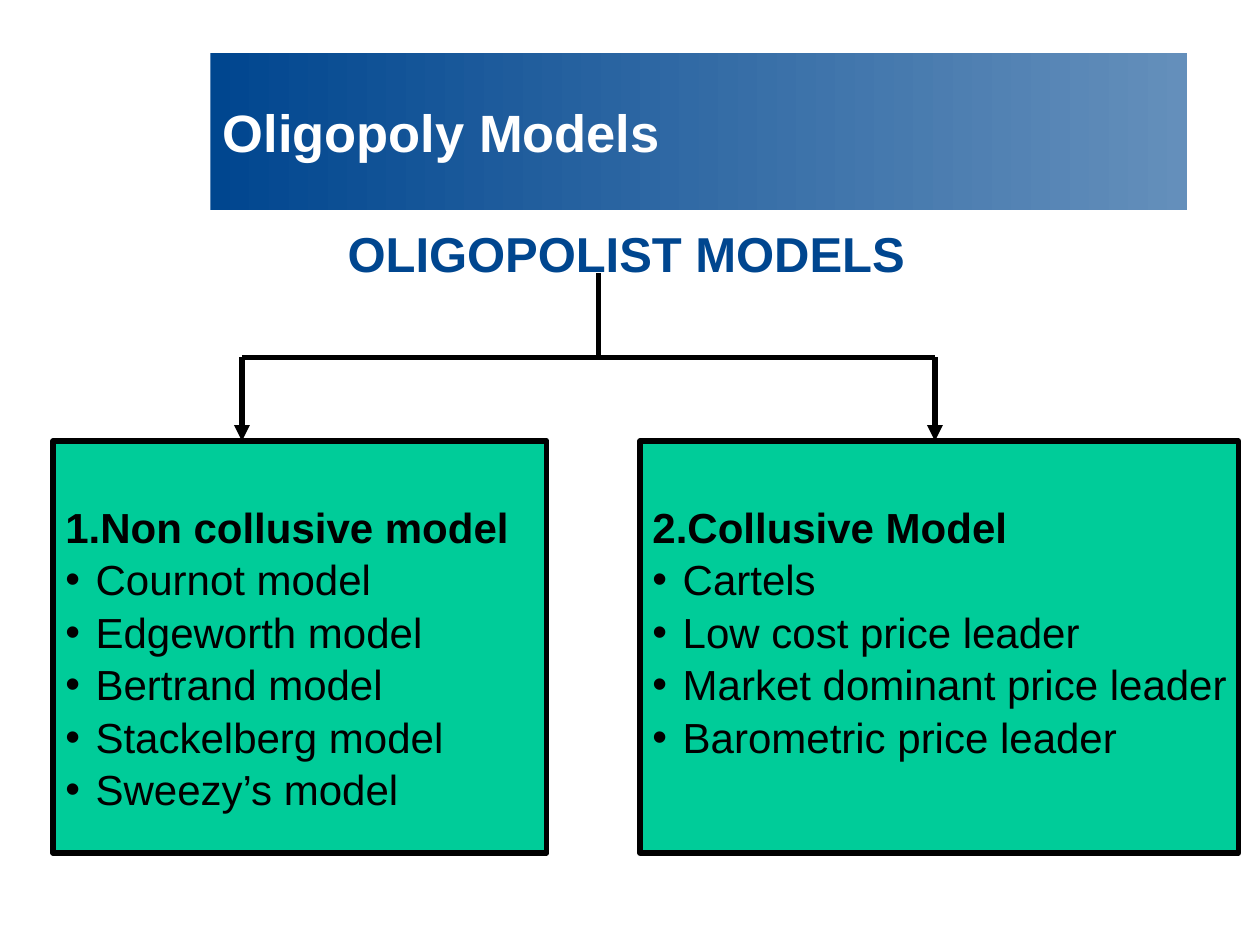
from lxml.etree import SubElement
from pptx import Presentation
from pptx.dml.color import RGBColor
from pptx.enum.shapes import MSO_CONNECTOR, MSO_SHAPE
from pptx.enum.text import MSO_ANCHOR, PP_ALIGN
from pptx.oxml.ns import qn
from pptx.util import Inches, Pt

NAVY = RGBColor(0x00, 0x46, 0x8F)
STEEL = RGBColor(0x64, 0x8F, 0xBB)
GREEN = RGBColor(0x00, 0xCC, 0x99)
BLACK = RGBColor(0x00, 0x00, 0x00)
WHITE = RGBColor(0xFF, 0xFF, 0xFF)

BOX_TOP, BOX_HEIGHT = 3.5, 3.27
MODELS = [
    # left, width, heading, items
    (0.42, 3.92, "1.Non collusive model",
     ["Cournot model", "Edgeworth model", "Bertrand model",
      "Stackelberg model", "Sweezy’s model"]),
    (5.08, 4.75, "2.Collusive Model",
     ["Cartels", "Low cost price leader", "Market dominant price leader",
      "Barometric price leader"]),
]


def set_all(target, values):
    for name, value in values.items():
        setattr(target, name, value)


def write(para, text, size, color, bold=False, align=PP_ALIGN.LEFT):
    para.alignment = align
    span = para.add_run()
    span.text = text
    set_all(span.font, {"name": "Arial", "size": Pt(size), "bold": bold})
    span.font.color.rgb = color


def add_box(page, box):
    shape = page.shapes.add_shape(MSO_SHAPE.RECTANGLE, *map(Inches, box))
    shape.shadow.inherit = False
    return shape


def add_bullet(para, indent):
    props = para._p.get_or_add_pPr()
    props.set("marL", str(Inches(indent)))
    props.set("indent", str(-Inches(indent)))
    SubElement(props, qn("a:buFont"), typeface="Arial")
    SubElement(props, qn("a:buChar"), char="•")


def add_title(page, box):
    banner = add_box(page, box)
    banner.line.fill.background()
    banner.fill.gradient()
    banner.fill.gradient_angle = 0
    for stop, color, position in zip(banner.fill.gradient_stops, (NAVY, STEEL), (0, 1)):
        stop.color.rgb = color
        stop.position = position
    set_all(banner.text_frame, {"word_wrap": True, "vertical_anchor": MSO_ANCHOR.MIDDLE})
    write(banner.text_frame.paragraphs[0], "Oligopoly Models", 30, WHITE, True)


def add_subtitle(page, box):
    frame = page.shapes.add_textbox(*map(Inches, box)).text_frame
    set_all(frame, {"word_wrap": True, "margin_top": Inches(0.1),
                    "margin_left": Inches(0.2)})
    write(frame.paragraphs[0], "OLIGOPOLIST MODELS", 28, NAVY, True, PP_ALIGN.CENTER)


def add_model(page, box, heading, items):
    shape = add_box(page, box)
    shape.fill.solid()
    shape.fill.fore_color.rgb = GREEN
    shape.line.color.rgb = BLACK
    shape.line.width = Pt(3)
    frame = shape.text_frame
    set_all(frame, {"word_wrap": True, "vertical_anchor": MSO_ANCHOR.TOP,
                    "margin_top": Inches(0.48), "margin_right": 0})
    write(frame.paragraphs[0], heading, 24, BLACK, True)
    for item in items:
        para = frame.add_paragraph()
        para.space_before = Pt(1.2)
        write(para, item, 24, BLACK)
        add_bullet(para, 0.24)


def add_line(page, start, end, arrow=False):
    line = page.shapes.add_connector(MSO_CONNECTOR.STRAIGHT, *map(Inches, start + end))
    line.line.color.rgb = BLACK
    line.line.width = Pt(3)
    if arrow:
        SubElement(line.line._get_or_add_ln(), qn("a:tailEnd"), type="triangle")
    SubElement(line._element.spPr, qn("a:effectLst"))


def add_tree(page, box, stem_x):
    left, top, width, height = box
    right, middle, bottom = left + width, top + height / 2, top + height
    add_line(page, (stem_x, top), (stem_x, middle))
    add_line(page, (left, middle), (right, middle))
    for x in (left, right):
        add_line(page, (x, middle), (x, bottom), arrow=True)


def main():
    deck = Presentation()
    deck.slide_width, deck.slide_height = Inches(10), Inches(7.5)
    page = deck.slides.add_slide(deck.slide_layouts[6])

    # Title banner and subtitle
    add_title(page, (1.67, 0.42, 7.75, 1.25))
    add_subtitle(page, (0.42, 1.67, 9, 5.11))

    # Model boxes
    for left, width, heading, items in MODELS:
        add_model(page, (left, BOX_TOP, width, BOX_HEIGHT), heading, items)

    # Branching lines from the subtitle to the boxes
    add_tree(page, (1.92, 2.17, 5.5, BOX_TOP - 2.17), 4.75)

    deck.save("out.pptx")


if __name__ == "__main__":
    main()
